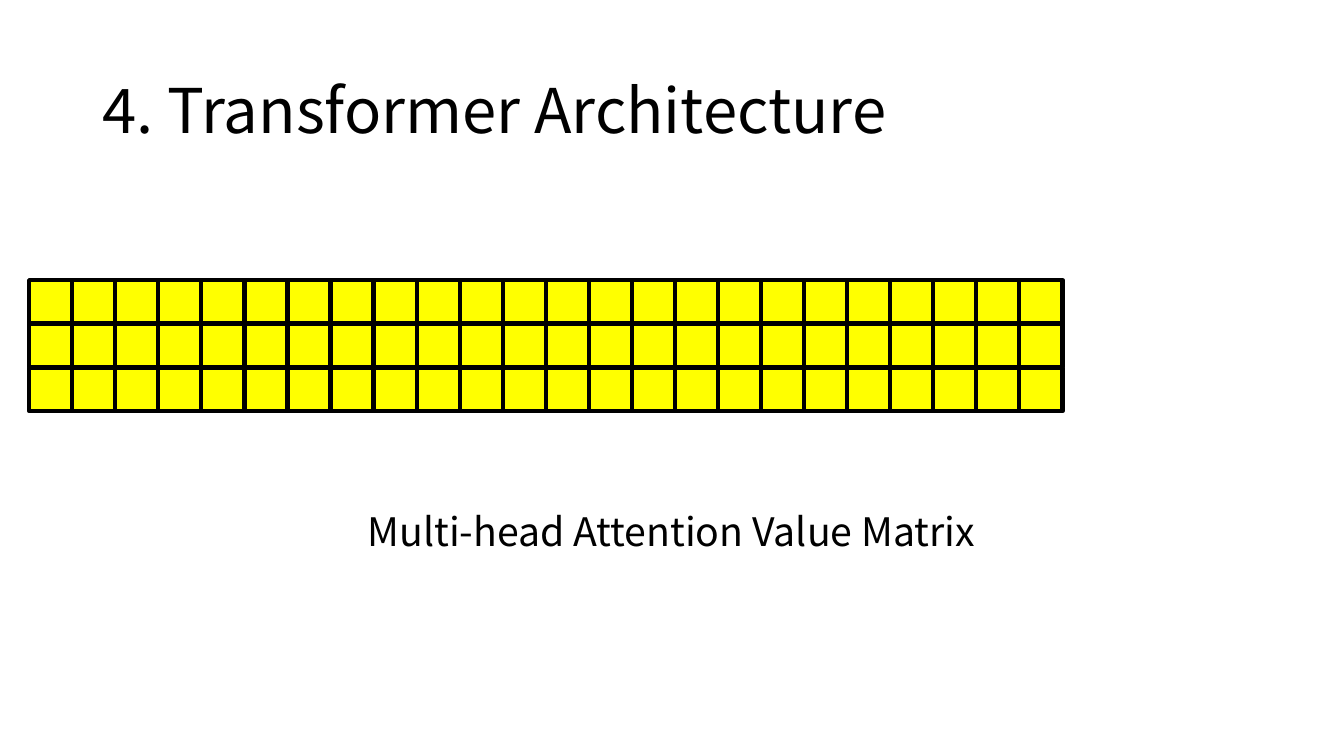
from pptx import Presentation
from pptx.dml.color import RGBColor
from pptx.enum.shapes import MSO_SHAPE
from pptx.enum.text import MSO_ANCHOR
from pptx.util import Inches, Pt

BLACK = RGBColor(0x00, 0x00, 0x00)
YELLOW = RGBColor(0xFF, 0xFF, 0x00)
RECTANGLE = MSO_SHAPE.RECTANGLE
TOP = MSO_ANCHOR.TOP
MIDDLE = MSO_ANCHOR.MIDDLE

ROWS, HEADS, HEAD_COLUMNS = 3, 12, 2
FIRST_LEFT, LAST_LEFT = 0.29, 10.11
FIRST_TOP, LAST_TOP = 2.78, 3.65
CELL_SIZE = 0.43


class SlideBuilder:
    """Holds the text style and current page, and draws its elements."""

    def __init__(self, page):
        self.page = page
        self.font_format = {"name": "Noto Sans CJK KR"}

    def text(self, words, left, top, width, height, size, anchor=TOP):
        box = self.page.shapes.add_textbox(
            Inches(left), Inches(top), Inches(width), Inches(height))
        frame = box.text_frame
        frame.word_wrap = True
        frame.vertical_anchor = anchor
        para = frame.paragraphs[0]
        para.line_spacing = 0.9
        span = para.add_run()
        span.text = words
        for name, value in {**self.font_format, "size": Pt(size)}.items():
            setattr(span.font, name, value)
        span.font.color.rgb = BLACK

    def cell(self, group, left, top):
        square = group.shapes.add_shape(
            RECTANGLE, Inches(left), Inches(top),
            Inches(CELL_SIZE), Inches(CELL_SIZE))
        square.shadow.inherit = False
        square.fill.solid()
        square.fill.fore_color.rgb = YELLOW
        square.line.color.rgb = BLACK
        square.line.width = Pt(3)

    def value_matrix(self):
        column_step = (LAST_LEFT - FIRST_LEFT) / (HEADS * HEAD_COLUMNS - 1)
        row_step = (LAST_TOP - FIRST_TOP) / (ROWS - 1)
        for head in range(HEADS):
            group = self.page.shapes.add_group_shape()
            for row in range(ROWS):
                for offset in range(HEAD_COLUMNS):
                    column = head * HEAD_COLUMNS + offset
                    self.cell(group, FIRST_LEFT + column * column_step,
                              FIRST_TOP + row * row_step)


def main():
    deck = Presentation()
    deck.slide_width = Inches(13.33)
    deck.slide_height = Inches(7.5)
    builder = SlideBuilder(deck.slides.add_slide(deck.slide_layouts[6]))
    builder.text("4. Transformer Architecture", 0.92, 0.4, 12.42, 1.45, 44, MIDDLE)
    builder.value_matrix()
    builder.text("Multi-head Attention Value Matrix", 3.55, 5.04, 6.94, 0.76, 28)
    deck.save("out.pptx")


if __name__ == "__main__":
    main()
